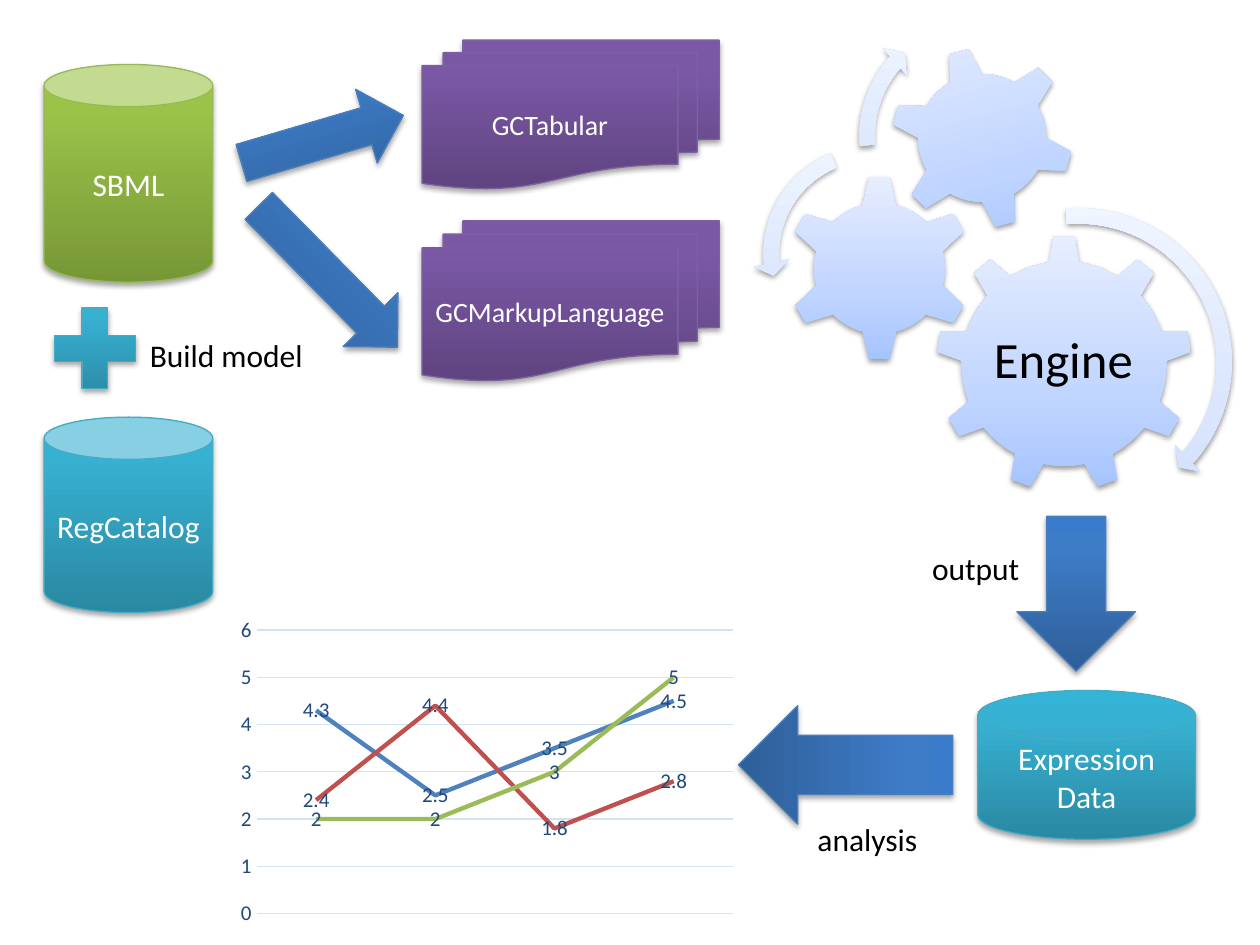
from lxml.etree import SubElement
from pptx import Presentation
from pptx.chart.data import CategoryChartData
from pptx.dml.color import RGBColor
from pptx.enum.chart import XL_CHART_TYPE, XL_LABEL_POSITION, XL_TICK_MARK
from pptx.enum.shapes import MSO_SHAPE
from pptx.enum.text import MSO_ANCHOR, PP_ALIGN
from pptx.oxml.ns import qn
from pptx.util import Cm, Pt

FONT = "Calibri"
GREEN = ([(0, "779737"), (80, "9BC348"), (100, "9DC746")], "98B955")
TEAL = ([(0, "2A88A2"), (80, "37B1D2"), (100, "34B4D6")], "46AAC5")
PURPLE = ([(0, "5F4480"), (80, "7B58A6"), (100, "7C57A8")], "7D60A0")
BLUE = ([(0, "2F5F99"), (80, "3D7CC7"), (100, "3A7CCB")], "4B7EBC")
GEAR = ([(0, "A4C4FF"), (35, "BFD4FF"), (100, "E6EEFF")], None)
SWIRL = ([(0, "CDDDFE"), (35, "DBE6FE"), (100, "F0F5FF")], None)


def color(value):
    return RGBColor.from_string(value)


def frame(box, rect):
    left, top, width, height = rect
    return Cm(box[0] + left), Cm(box[1] + top), Cm(width), Cm(height)


def write(holder, text, size=18, fill="FFFFFF", align=PP_ALIGN.CENTER,
          anchor=MSO_ANCHOR.MIDDLE, wrap=True, inset=None, spacing=None):
    body = holder.text_frame
    body.word_wrap = wrap
    body.vertical_anchor = anchor
    if inset is not None:
        body.margin_left = body.margin_right = Cm(inset)
        body.margin_top = body.margin_bottom = Cm(inset)
    paragraph = body.paragraphs[0]
    paragraph.alignment = align
    paragraph.line_spacing = spacing
    run = paragraph.add_run()
    run.text = text
    run.font.name = FONT
    run.font.size = Pt(size)
    run.font.color.rgb = color(fill)


def add_color(parent, value):
    return SubElement(parent, qn("a:srgbClr"), val=value)


def shade(figure, stops):
    figure.fill.gradient()
    gradient = figure._element.spPr.find(qn("a:gradFill"))
    for child in list(gradient):
        gradient.remove(child)
    stop_list = SubElement(gradient, qn("a:gsLst"))
    for position, value in stops:
        add_color(SubElement(stop_list, qn("a:gs"), pos=str(position * 1000)), value)
    SubElement(gradient, qn("a:lin"), ang="16200000", scaled="0")


def cast_shadow(figure, distance, opacity):
    figure.shadow.inherit = False
    effects = figure._element.spPr.find(qn("a:effectLst"))
    outer = SubElement(effects, qn("a:outerShdw"), blurRad="40000", dist=str(distance),
                       dir="5400000", rotWithShape="0")
    SubElement(add_color(outer, "000000"), qn("a:alpha"), val=str(opacity * 1000))


def add_figure(slide, box, kind, rect, style, rotation=0, adjustments=()):
    figure = slide.shapes.add_shape(kind, *frame(box, rect))
    figure.rotation = rotation
    for index, value in enumerate(adjustments):
        figure.adjustments[index] = value
    stops, outline = style
    shade(figure, stops)
    if outline:
        figure.line.color.rgb = color(outline)
        figure.line.width = Pt(0.75)
        cast_shadow(figure, 23000, 35)
    else:
        figure.line.fill.background()
        cast_shadow(figure, 20000, 38)
    return figure


def add_label(slide, box, rect, text, **style):
    label = slide.shapes.add_textbox(*frame(box, rect))
    write(label, text, fill="000000", **style)


def add_caption(slide, box, rect, text):
    add_label(slide, box, rect, text, align=PP_ALIGN.LEFT, anchor=MSO_ANCHOR.TOP, wrap=False)


def draw_sources(slide, box):
    for name, top, height, style in (("SBML", 0, 4.39, GREEN), ("RegCatalog", 7.11, 3.94, TEAL)):
        write(add_figure(slide, box, MSO_SHAPE.CAN, (0, top, 3.4, height), style), name)
    add_figure(slide, box, MSO_SHAPE.MATH_PLUS, (-0.08, 4.62, 2.21, 2.21), TEAL)
    add_caption(slide, box, (1.88, 5.35, 3.63, 1.02), "Build model")


def draw_formats(slide, box):
    for name, top, height in (("GCMarkupLanguage", 3.64, 3.23), ("GCTabular", 0, 3)):
        documents = add_figure(slide, box, MSO_SHAPE.FLOWCHART_MULTIDOCUMENT,
                               (3.91, top, 5.99, height), PURPLE)
        write(documents, name, size=16)
    for rect, rotation in (((0.2, 1.22, 3.4, 1.55), 343.6), ((0.02, 3.99, 3.99, 1.55), 45.5)):
        add_figure(slide, box, MSO_SHAPE.RIGHT_ARROW, rect, BLUE, rotation)


def draw_engine(slide, box):
    for kind, left, top, size, rotation in (
        (MSO_SHAPE.GEAR_9, 3.67, 4.6, 5.16, 0),
        (MSO_SHAPE.GEAR_6, 0.65, 3.38, 3.76, 0),
        (MSO_SHAPE.GEAR_6, 2.76, 0.79, 3.68, 345),
    ):
        add_figure(slide, box, kind, (left, top, size, size), GEAR, rotation)
    add_label(slide, box, (4.69, 5.82, 3.1, 2.64), "Engine", size=29, inset=0.1, spacing=0.9)
    for kind, left, top, size, bends in (
        (MSO_SHAPE.CIRCULAR_ARROW, 3.24, 3.84, 6.6, (0.047, 2.99, 24.931, 159.119, 0.055)),
        (MSO_SHAPE.LEFT_CIRCULAR_ARROW, -0.01, 2.57, 4.8, (0.065, 4.3, 104.891, 148.378, 0.075)),
        (MSO_SHAPE.CIRCULAR_ARROW, 1.92, 0, 5.18, (0.06, 3.941, 133.138, 105.082, 0.07)),
    ):
        add_figure(slide, box, kind, (left, top, size, size), SWIRL, adjustments=bends)


def draw_output(slide, box):
    add_figure(slide, box, MSO_SHAPE.DOWN_ARROW, (4.65, 0, 2.39, 3.12), BLUE)
    expression = add_figure(slide, box, MSO_SHAPE.FLOWCHART_MAGNETIC_DISK,
                            (3.86, 3.51, 4.39, 3), TEAL)
    write(expression, "Expression Data")
    add_caption(slide, box, (2.69, 0.54, 2.29, 1.02), "output")
    add_figure(slide, box, MSO_SHAPE.DOWN_ARROW, (0, 2.85, 2.39, 4.32), BLUE, 90)
    add_caption(slide, box, (0.38, 6, 2.54, 1.02), "analysis")


def set_font(font):
    font.name = FONT
    font.size = Pt(12)
    font.color.rgb = color("1F497D")


def draw_analysis(slide, box):
    measurements = CategoryChartData()
    measurements.categories = ["1", "2", "3", "4"]
    measurements.add_series("Series 1", (4.3, 2.5, 3.5, 4.5))
    measurements.add_series("Series 2", (2.4, 4.4, 1.8, 2.8))
    measurements.add_series("Series 3", (2, 2, 3, 5))
    chart = slide.shapes.add_chart(
        XL_CHART_TYPE.LINE, *frame(box, (0, 0, 10.34, 6.48)), measurements).chart
    chart.has_legend = False
    chart.has_title = False
    chart.font.name = FONT
    chart.font.size = Pt(10)
    chart.category_axis.visible = False
    levels = chart.value_axis
    levels.minimum_scale, levels.maximum_scale, levels.major_unit = 0, 6, 1
    levels.major_tick_mark = levels.minor_tick_mark = XL_TICK_MARK.NONE
    levels.format.line.fill.background()
    levels.major_gridlines.format.line.color.rgb = color("D4E3F4")
    levels.major_gridlines.format.line.width = Pt(0.75)
    set_font(levels.tick_labels.font)
    plot = chart.plots[0]
    plot.vary_by_categories = False
    for series, hue in zip(plot.series, ("4F81BD", "C0504D", "9BBB59")):
        series.smooth = False
        series.format.line.color.rgb = color(hue)
        series.format.line.width = Pt(2.5)
        labels = series.data_labels
        labels.show_value = True
        labels.position = XL_LABEL_POSITION.CENTER
        set_font(labels.font)


def main():
    presentation = Presentation()
    presentation.slide_width, presentation.slide_height = Cm(25.4), Cm(19.05)
    slide = presentation.slides.add_slide(presentation.slide_layouts[6])
    draw_sources(slide, (0.89, 1.3))
    draw_formats(slide, (4.6, 0.81))
    draw_engine(slide, (15.2, 0.15))
    draw_output(slide, (15.85, 10.41))
    draw_analysis(slide, (4.65, 12.32))
    presentation.save("out.pptx")


main()
